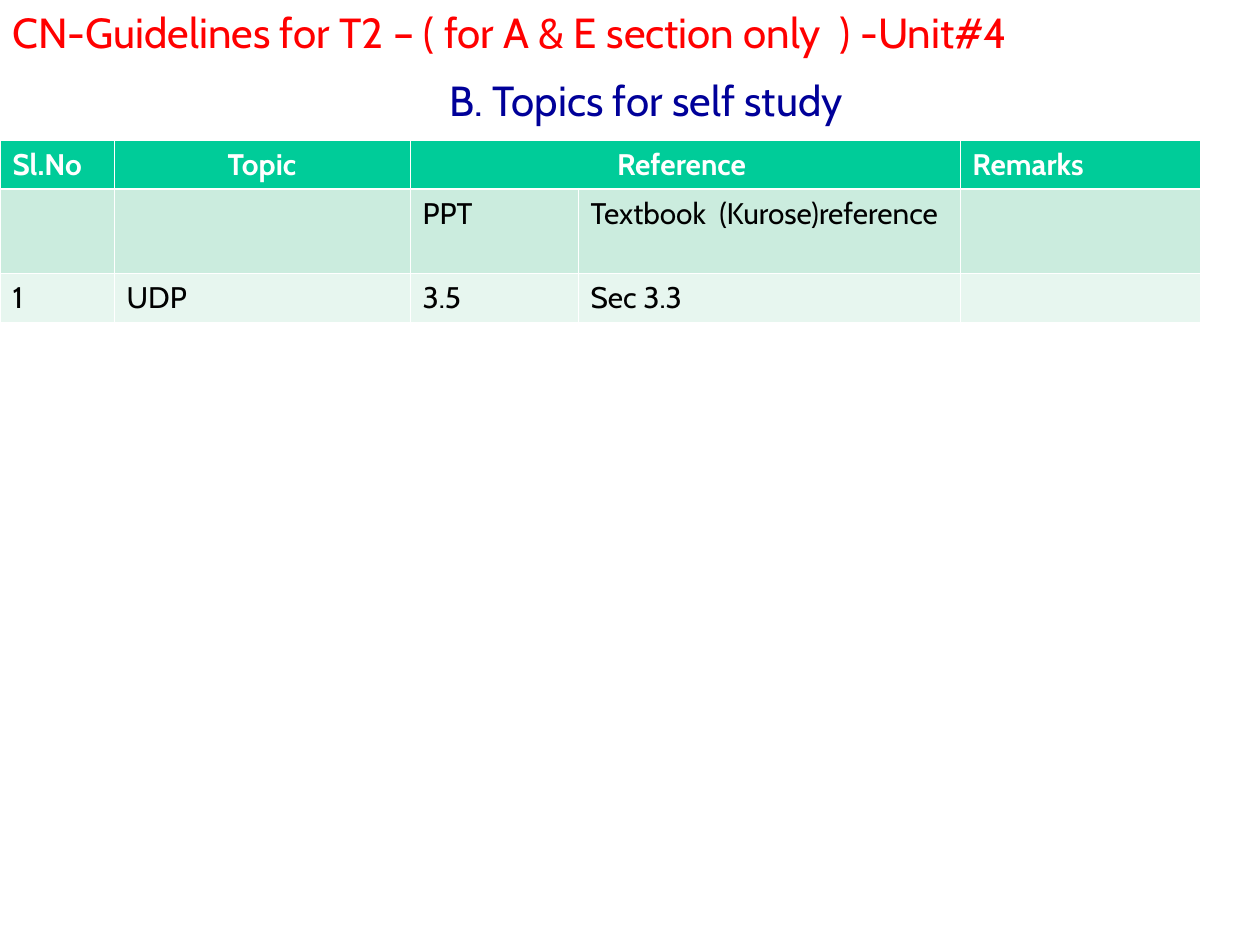
from dataclasses import dataclass

from lxml.etree import SubElement
from pptx import Presentation
from pptx.dml.color import RGBColor
from pptx.enum.text import MSO_AUTO_SIZE as AutoSize, PP_ALIGN as Align
from pptx.oxml.ns import qn
from pptx.util import Emu, Pt

EMU_PER_PX = 914400 / 126
FONT = "Cabin"
COLORS = {
    "title": "FF0000",
    "subtitle": "000099",
    "header": "00CC99",
    "band_dark": "CBECDE",
    "band_light": "E7F6EF",
    "white": "FFFFFF",
    "black": "000000",
}
COLUMN_WIDTHS = (114, 296, 168, 382, 240)
THIN, THICK = 0.45, 1.47


@dataclass(frozen=True)
class Heading:
    text: str
    left: int
    top: int
    color: str
    align: Align


@dataclass(frozen=True)
class TableRow:
    texts: tuple[str, ...]
    height: int
    fill: str
    color: str = "black"
    bold: bool = False
    centered: tuple[int, ...] = ()
    top_line: float = THIN
    bottom_line: float = THIN


HEADINGS = (
    Heading("CN-Guidelines for T2 – ( for A & E section only  ) -Unit#4", 0, 0, "title", Align.LEFT),
    Heading("B. Topics for self study ", 21, 68, "subtitle", Align.CENTER),
)
ROWS = (
    TableRow(("Sl.No", "Topic", "Reference ", "", "Remarks"), 49, "header", color="white",
             bold=True, centered=(1, 2), bottom_line=THICK),
    TableRow(("", "", "PPT", "Textbook  (Kurose)reference", ""), 84, "band_dark", top_line=THICK),
    TableRow(("1", "UDP", "3.5", "Sec 3.3", ""), 49, "band_light"),
)


def px(length: int) -> Emu:
    return Emu(round(length * EMU_PER_PX))


def rgb(name: str) -> RGBColor:
    return RGBColor.from_string(COLORS[name])


def write_text(text_frame, text: str, *, size: int, color: str,
               bold: bool = False, align: Align = Align.LEFT) -> None:
    paragraph = text_frame.paragraphs[0]
    paragraph.alignment = align
    if not text:
        SubElement(paragraph._p, qn("a:endParaRPr"), sz=str(size * 100))
        return
    run = paragraph.add_run()
    run.text = text
    run.font.name = FONT
    run.font.size = Pt(size)
    run.font.bold = bold
    run.font.color.rgb = rgb(color)


def add_heading(slide, heading: Heading) -> None:
    shape = slide.shapes.add_textbox(px(heading.left), px(heading.top), px(1260), px(63))
    shape.text_frame.word_wrap = True
    shape.text_frame.auto_size = AutoSize.SHAPE_TO_FIT_TEXT
    write_text(shape.text_frame, heading.text, size=24, color=heading.color, align=heading.align)


def set_borders(cell, row: TableRow) -> None:
    properties = cell._tc.get_or_add_tcPr()
    widths = {"lnL": THIN, "lnR": THIN, "lnT": row.top_line, "lnB": row.bottom_line}
    for side, width in widths.items():
        line = SubElement(properties, qn(f"a:{side}"), w=str(Pt(width)))
        fill = SubElement(line, qn("a:solidFill"))
        SubElement(fill, qn("a:srgbClr"), val=COLORS["white"])


def add_topics_table(slide) -> None:
    height = sum(row.height for row in ROWS)
    table = slide.shapes.add_table(len(ROWS), len(COLUMN_WIDTHS), px(0), px(140),
                                   px(sum(COLUMN_WIDTHS)), px(height)).table
    for column, width in zip(table.columns, COLUMN_WIDTHS):
        column.width = px(width)
    table.cell(0, 2).merge(table.cell(0, 3))
    for row_index, row in enumerate(ROWS):
        table.rows[row_index].height = px(row.height)
        for column_index, text in enumerate(row.texts):
            cell = table.cell(row_index, column_index)
            set_borders(cell, row)
            cell.fill.solid()
            cell.fill.fore_color.rgb = rgb(row.fill)
            align = Align.CENTER if column_index in row.centered else Align.LEFT
            write_text(cell.text_frame, text, size=17, color=row.color, bold=row.bold, align=align)


def main() -> None:
    presentation = Presentation()
    presentation.slide_width = px(1260)
    presentation.slide_height = px(945)
    slide = presentation.slides.add_slide(presentation.slide_layouts[6])
    add_topics_table(slide)
    for heading in HEADINGS:
        add_heading(slide, heading)
    presentation.save("out.pptx")


if __name__ == "__main__":
    main()
